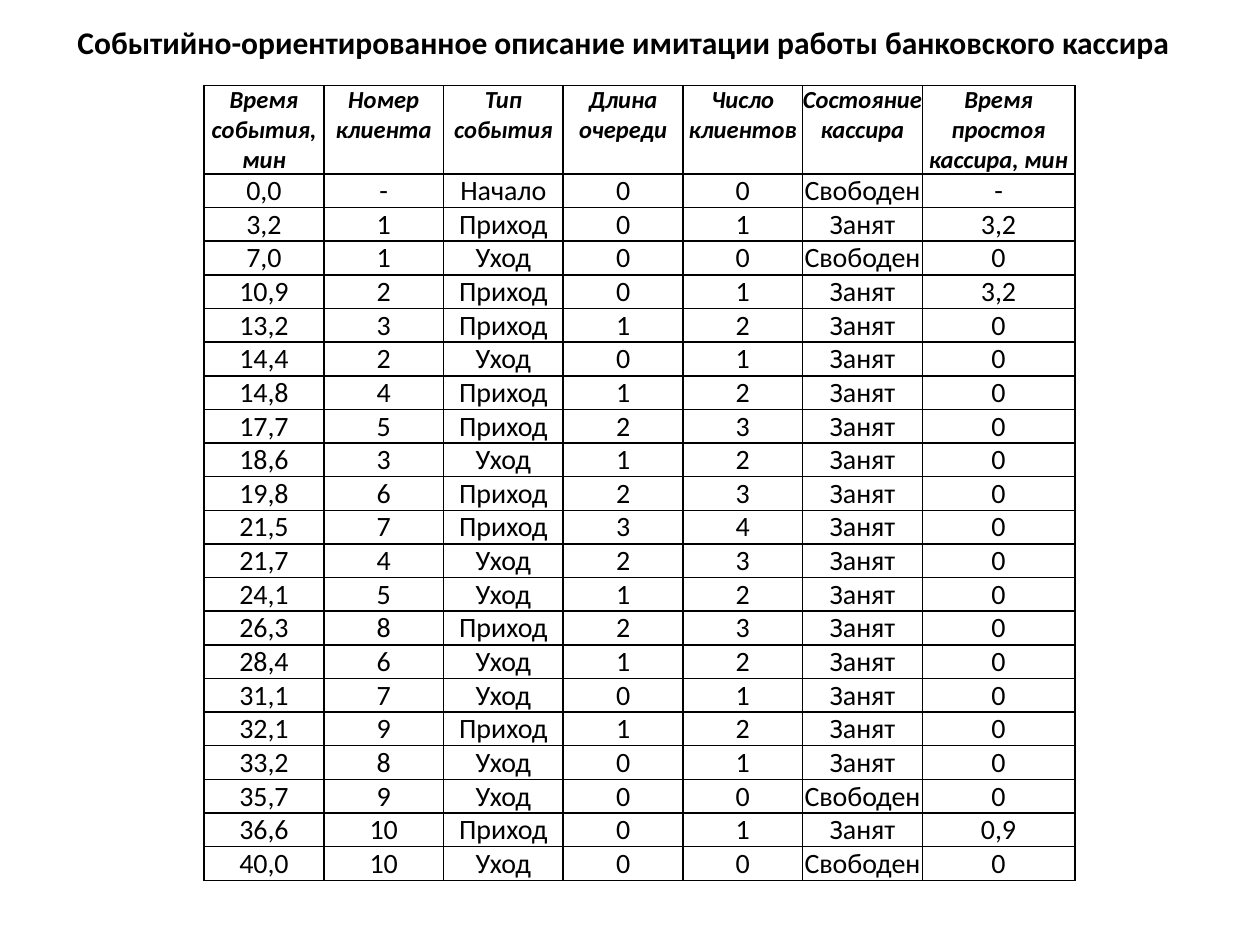
from dataclasses import dataclass
from lxml.etree import SubElement
from pptx import Presentation
from pptx.dml.color import RGBColor
from pptx.enum.text import MSO_ANCHOR, MSO_AUTO_SIZE, PP_ALIGN
from pptx.oxml.ns import qn
from pptx.util import Inches, Pt


@dataclass
class Theme:
    font: str = "Calibri"
    ink: str = "000000"
    title: int = 18
    head: int = 14
    body: int = 16
    line: int = 1


class Page:
    def __init__(self, slide, theme):
        self.slide = slide
        self.theme = theme

    def style(self, frame, size, bold=False, slant=False):
        for para in frame.paragraphs:
            para.alignment = PP_ALIGN.CENTER
            for run in para.runs:
                font = run.font
                font.name = self.theme.font
                font.size = Pt(size)
                font.bold = bold
                font.italic = slant
                font.color.rgb = RGBColor.from_string(self.theme.ink)

    def title(self, text, left, top, width, height):
        shape = self.slide.shapes.title
        shape.left, shape.top = Inches(left), Inches(top)
        shape.width, shape.height = Inches(width), Inches(height)
        frame = shape.text_frame
        frame.text = text
        frame.word_wrap = True
        frame.auto_size = MSO_AUTO_SIZE.SHAPE_TO_FIT_TEXT
        frame.vertical_anchor = MSO_ANCHOR.TOP
        self.style(frame, self.theme.title, bold=True)

    def border(self, cell):
        props = cell._tc.get_or_add_tcPr()
        for side in ("a:lnL", "a:lnR", "a:lnT", "a:lnB"):
            line = SubElement(props, qn(side), w=str(Pt(self.theme.line)))
            fill = SubElement(line, qn("a:solidFill"))
            SubElement(fill, qn("a:srgbClr"), val=self.theme.ink)

    def cell(self, cell, text, head):
        cell.margin_left = cell.margin_right = 0
        cell.margin_top = cell.margin_bottom = 0
        self.border(cell)
        cell.fill.background()
        cell.text_frame.text = text
        size = self.theme.head if head else self.theme.body
        self.style(cell.text_frame, size, bold=head, slant=head)

    def table(self, rows, widths, left, top, height, first):
        frame = self.slide.shapes.add_table(
            len(rows), len(widths), Inches(left), Inches(top),
            Inches(sum(widths)), Inches(height))
        table = frame.table
        table.first_row = False
        table.horz_banding = False
        for col, width in zip(table.columns, widths):
            col.width = Inches(width)
        step = (height - first) / (len(rows) - 1)
        for i, row in enumerate(rows):
            table.rows[i].height = Inches(step if i else first)
            for j, text in enumerate(row):
                self.cell(table.cell(i, j), text, i == 0)


HEAD = ["Время события, мин", "Номер клиента", "Тип события",
        "Длина очереди", "Число клиентов", "Состояние кассира",
        "Время простоя кассира, мин"]

EVENTS = """
0,0 - Начало 0 0 Свободен -
3,2 1 Приход 0 1 Занят 3,2
7,0 1 Уход 0 0 Свободен 0
10,9 2 Приход 0 1 Занят 3,2
13,2 3 Приход 1 2 Занят 0
14,4 2 Уход 0 1 Занят 0
14,8 4 Приход 1 2 Занят 0
17,7 5 Приход 2 3 Занят 0
18,6 3 Уход 1 2 Занят 0
19,8 6 Приход 2 3 Занят 0
21,5 7 Приход 3 4 Занят 0
21,7 4 Уход 2 3 Занят 0
24,1 5 Уход 1 2 Занят 0
26,3 8 Приход 2 3 Занят 0
28,4 6 Уход 1 2 Занят 0
31,1 7 Уход 0 1 Занят 0
32,1 9 Приход 1 2 Занят 0
33,2 8 Уход 0 1 Занят 0
35,7 9 Уход 0 0 Свободен 0
36,6 10 Приход 0 1 Занят 0,9
40,0 10 Уход 0 0 Свободен 0
"""


def main():
    deck = Presentation()
    deck.slide_width, deck.slide_height = Inches(10), Inches(7.5)
    page = Page(deck.slides.add_slide(deck.slide_layouts[5]), Theme())
    page.title("Событийно-ориентированное описание имитации работы "
               "банковского кассира", 0.1, 0.13, 9.7, 0.4)
    rows = [HEAD] + [line.split() for line in EVENTS.strip().splitlines()]
    page.table(rows, [0.95] * 6 + [1.21], 1.62, 0.68, 6.3, 0.7)
    deck.save("out.pptx")


if __name__ == "__main__":
    main()
